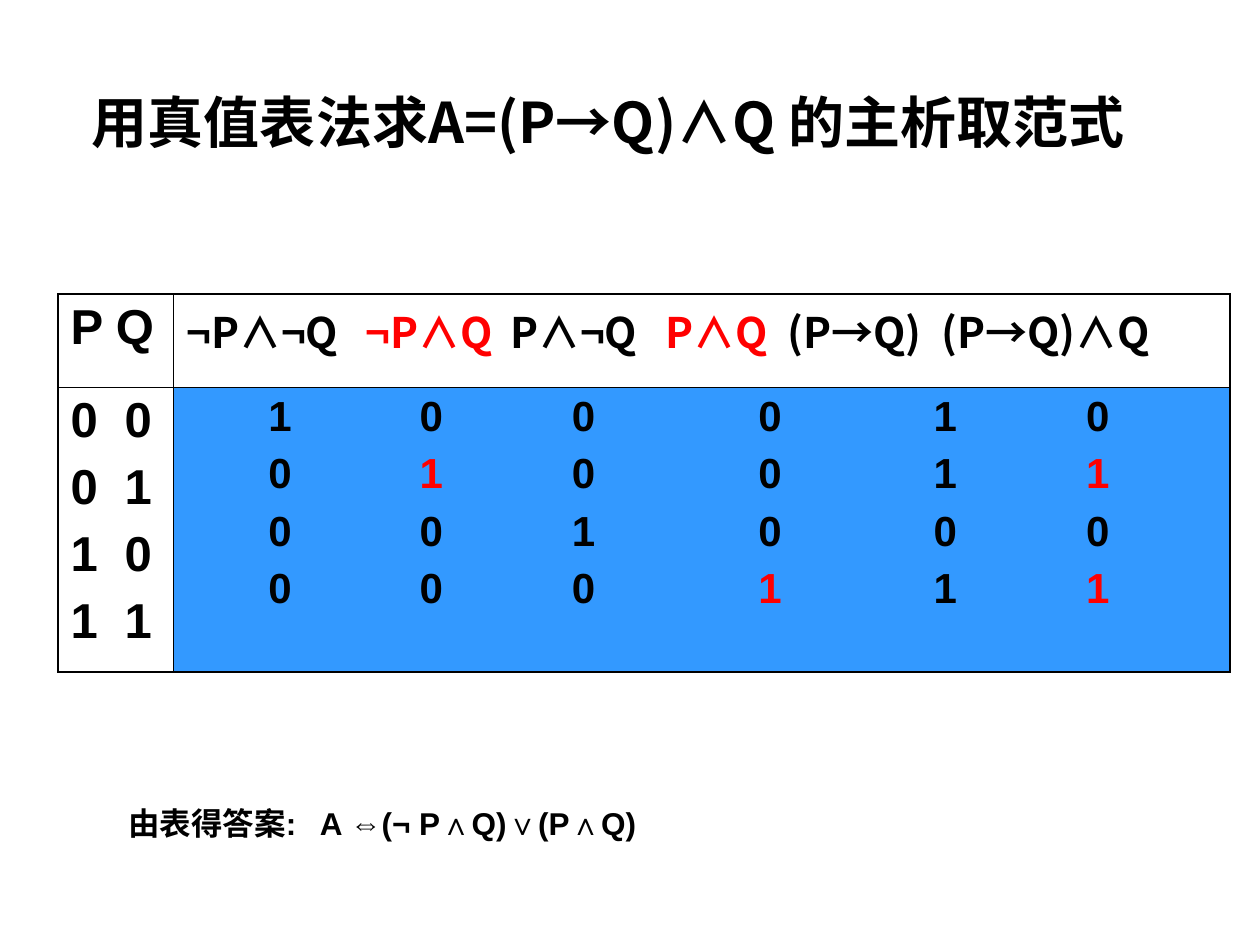
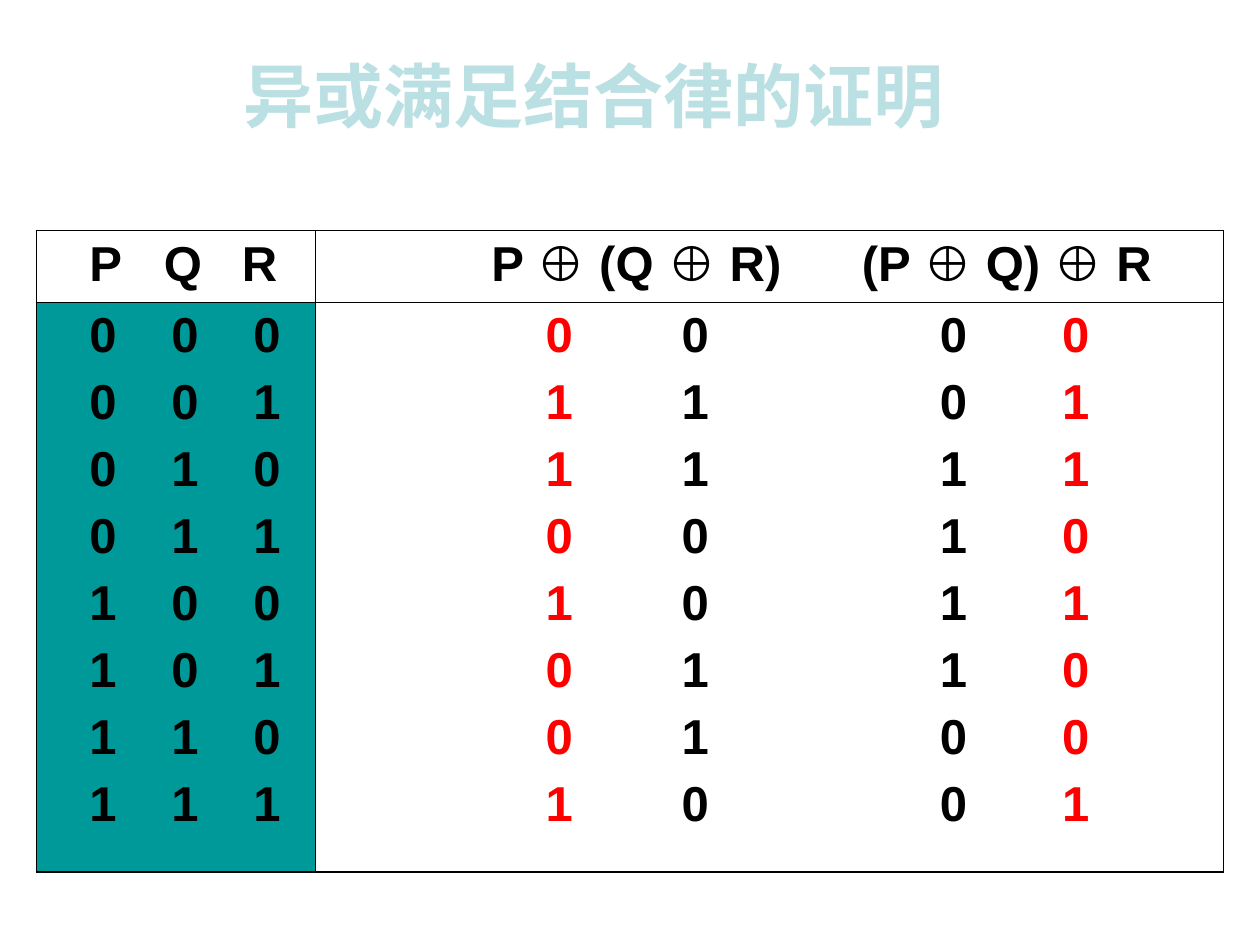
"""Build two slides of truth tables for propositional logic."""
from itertools import product

from lxml import etree
from pptx import Presentation
from pptx import util as u
from pptx.dml.color import RGBColor
from pptx.enum import text
from pptx.oxml.ns import qn

WIDE, HIGH = u.Inches(10), u.Inches(7.5)
HUES = {"ink": "000000", "mark": "FF0000", "pale": "BBE0E3",
        "blue": "3399FF", "teal": "009999"}
SANS, HAN = "Arial", "Noto Sans CJK SC"
THICK, THIN = 1.08, 0.45


def across(share):
    """Turn a percentage of the slide's width into a length."""
    return u.Emu(round(WIDE * share / 100))


def down(share):
    """Turn a percentage of the slide's height into a length."""
    return u.Emu(round(HIGH * share / 100))


def place(shape, left, top, width, height):
    """Put a shape at percentages of the slide."""
    shape.left, shape.top = across(left), down(top)
    shape.width, shape.height = across(width), down(height)


def style(para, size, face=SANS, hue="ink", stops=()):
    """Give a paragraph its tab stops and font."""
    props = para._p.get_or_add_pPr()
    if stops:
        tabs = etree.SubElement(props, qn("a:tabLst"))
        for stop in stops:
            etree.SubElement(tabs, qn("a:tab"), pos=str(across(stop)), algn="l")
    font = para.font
    font.size, font.name, font.bold = u.Pt(size), face, True
    font.color.rgb = RGBColor.from_string(HUES[hue])
    if face == HAN:
        etree.SubElement(props.find(qn("a:defRPr")), qn("a:ea"), typeface=HAN)


def title(slide, words, area, size, hue, align, anchor):
    """Fill and format the title placeholder."""
    shape = slide.shapes.title
    place(shape, *area)
    frame = shape.text_frame
    frame.auto_size = text.MSO_AUTO_SIZE.NONE
    frame.vertical_anchor = anchor
    para = frame.paragraphs[0]
    para.add_run().text = words
    style(para, size, HAN, hue)
    para.alignment = align
    return para


def edge(cell, widths):
    """Draw the left, right, top and bottom borders of a cell."""
    props = cell._tc.get_or_add_tcPr()
    for side, width in zip("LRTB", widths):
        line = etree.SubElement(props, qn(f"a:ln{side}"), w=str(u.Pt(width)))
        fill = etree.SubElement(line, qn("a:solidFill"))
        etree.SubElement(fill, qn("a:srgbClr"), val=HUES["ink"])


def tint(cell, hue):
    """Fill a cell with a half-clear colour."""
    cell.fill.solid()
    cell.fill.fore_color.rgb = RGBColor.from_string(HUES[hue])
    clr = cell._tc.tcPr.find(".//" + qn("a:srgbClr"))
    etree.SubElement(clr, qn("a:alpha"), val="50000")


def write(cell, rows, stops, size, reds=lambda col, item: False, face=SANS):
    """Set rows of items at tab stops, with the chosen items in red."""
    frame = cell.text_frame
    for num, row in enumerate(rows):
        para = frame.add_paragraph() if num else frame.paragraphs[0]
        for col, item in enumerate(row):
            run = para.add_run()
            lead = "\t" if col or stops[0] else ""
            run.text = f"{lead}{item}"
            if reds(col, item):
                run.font.color.rgb = RGBColor.from_string(HUES["mark"])
        style(para, size, face, stops=[stop for stop in stops if stop])
        if num:
            para.space_before = u.Pt(size / 4)


def grid(slide, left, top, cols, rows):
    """Add a two by two table with thick outer and thin inner borders."""
    table = slide.shapes.add_table(2, 2, across(left), down(top),
                                   across(sum(cols)), down(sum(rows))).table
    table.first_row = table.horz_banding = False
    for part, share in zip(table.columns, cols):
        part.width = across(share)
    for part, share in zip(table.rows, rows):
        part.height = down(share)
    for row, col in product(range(2), repeat=2):
        cell = table.cell(row, col)
        edge(cell, [THIN if col else THICK, THICK if col else THIN,
                    THIN if row else THICK, THICK if row else THIN])
        cell.fill.background()
    return table


def answer(slide):
    """Add the line that states the result."""
    box = slide.shapes.add_textbox(0, 0, 0, 0)
    place(box, 9.2, 85.2, 65.8, 6.5)
    box.text_frame.word_wrap = True
    para = box.text_frame.paragraphs[0]
    para.add_run().text = "由表得答案:\tA ⇔(¬ P∧Q)∨(P∧Q)"
    style(para, 18, stops=[15.2])
    para.line_spacing = 0.8


def normal(slide):
    """Build the normal form slide."""
    para = title(slide, "用真值表法求A=(P→Q)∧Q 的主析取范式", (6.3, 10, 87.9, 11),
                 32, "ink", text.PP_ALIGN.LEFT, text.MSO_ANCHOR.TOP)
    para.line_spacing = 0.8
    table = grid(slide, 4.6, 31.1, [9.2, 83.8], [9.87, 30.13])
    pairs = list(product((0, 1), repeat=2))
    terms = ["¬P∧¬Q", "¬P∧Q", "P∧¬Q", "P∧Q", "(P→Q)", "(P→Q)∧Q"]
    values = [[int(pair == term) for term in pairs]
              + [int(pair[0] <= pair[1]), pair[1]] for pair in pairs]
    write(table.cell(0, 0), [["P Q"]], [0], 28)
    write(table.cell(0, 1), [terms], [0, 14.2, 25.7, 38, 47.7, 59.9], 24,
          lambda col, item: col in (1, 3), HAN)
    write(table.cell(1, 0), pairs, [0, 4.3], 28)
    write(table.cell(1, 1), values, [6.5, 18.5, 30.6, 45.4, 59.3, 71.4], 24,
          lambda col, item: item and col in (1, 3, 5))
    tint(table.cell(1, 1), "blue")
    answer(slide)


def proof(slide):
    """Build the associative law slide."""
    title(slide, "异或满足结合律的证明", (5, 5.6, 84.2, 8.9),
          40, "pale", text.PP_ALIGN.CENTER, text.MSO_ANCHOR.MIDDLE)
    table = grid(slide, 2.9, 24.4, [22.1, 72.1], [7.6, 60.27])
    bits = list(product((0, 1), repeat=3))
    values = [[p ^ q ^ r, q ^ r, p ^ q, p ^ q ^ r] for p, q, r in bits]
    write(table.cell(0, 0), ["PQR"], [3.2, 9.1, 15.3], 28)
    write(table.cell(0, 1), [["P ⊕ (Q ⊕ R)", "(P ⊕ Q) ⊕ R"]], [13, 42.4], 28)
    write(table.cell(1, 0), bits, [3.2, 9.7, 16.2], 28)
    write(table.cell(1, 1), values, [17.3, 28.1, 48.6, 58.3], 28,
          lambda col, item: col in (0, 3))
    tint(table.cell(1, 0), "teal")


def main():
    """Build and save the deck."""
    deck = Presentation()
    deck.slide_width, deck.slide_height = WIDE, HIGH
    for build in (normal, proof):
        build(deck.slides.add_slide(deck.slide_layouts[5]))
    deck.save("out.pptx")


if __name__ == "__main__":
    main()
